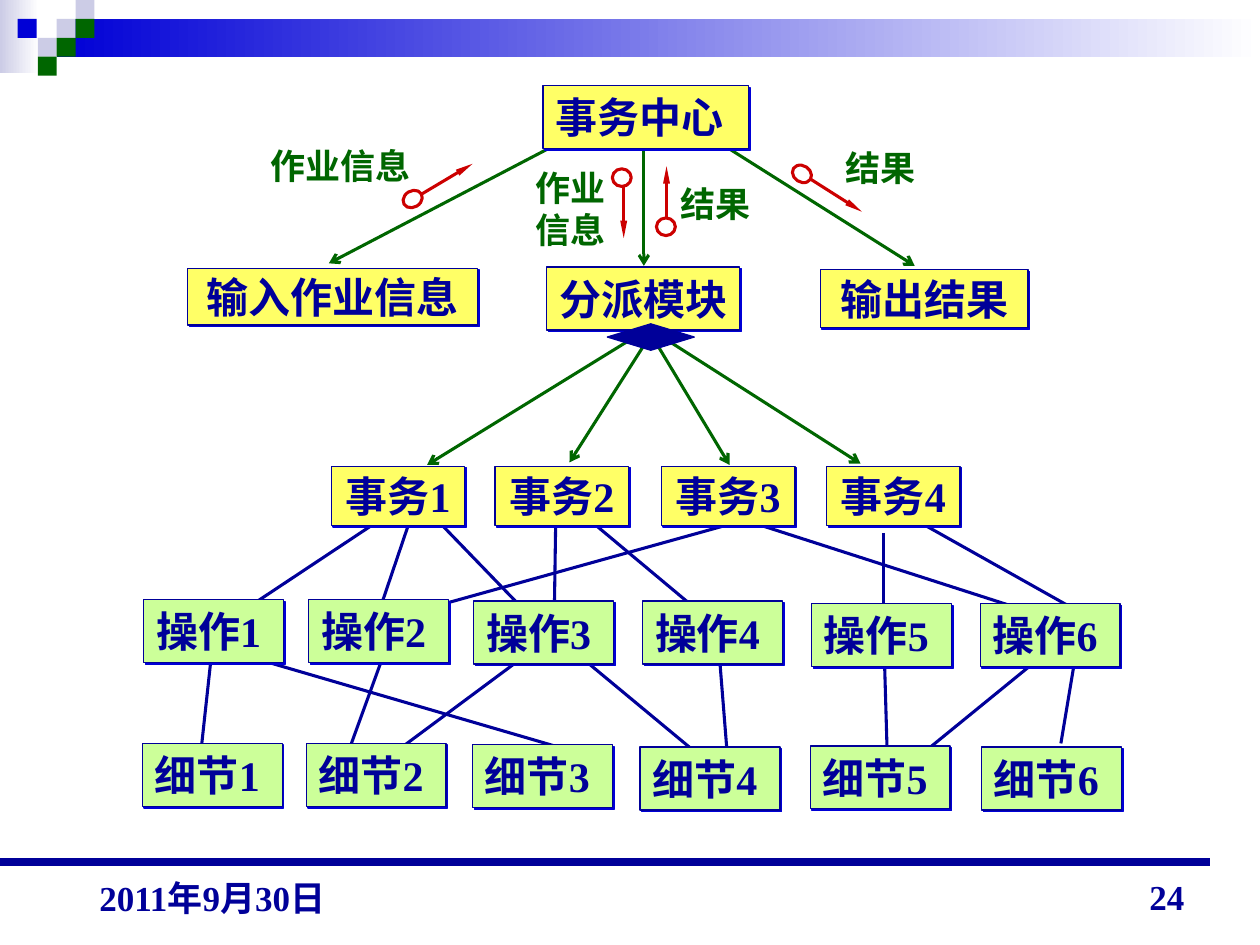
"""Build a transaction-centre structure chart slide."""
from typing import NamedTuple, Optional

from lxml import etree
from pptx import Presentation
from pptx import util as u
from pptx.dml.color import RGBColor
from pptx.enum import shapes, text
from pptx.oxml.ns import qn

NAVY = RGBColor(0x00, 0x00, 0x99)
BLUE = RGBColor(0x00, 0x00, 0xD6)
LAVENDER = RGBColor(0xCC, 0xCC, 0xE6)
GREEN = RGBColor(0x00, 0x66, 0x00)
RED = RGBColor(0xCC, 0x00, 0x00)
YELLOW = RGBColor(0xFF, 0xFF, 0x66)
LIME = RGBColor(0xCC, 0xFF, 0x99)
WHITE = RGBColor(0xFF, 0xFF, 0xFF)

SHAPE = shapes.MSO_SHAPE
FIT = text.MSO_AUTO_SIZE.SHAPE_TO_FIT_TEXT
LEFT, CENTER, RIGHT = text.PP_ALIGN.LEFT, text.PP_ALIGN.CENTER, text.PP_ALIGN.RIGHT
TOP, MIDDLE, BOTTOM = text.MSO_ANCHOR.TOP, text.MSO_ANCHOR.MIDDLE, text.MSO_ANCHOR.BOTTOM


class Area(NamedTuple):
    left: float
    top: float
    width: float
    height: float


class Module(NamedTuple):
    label: str
    area: Area
    fill: RGBColor
    align: int = CENTER
    anchor: int = MIDDLE
    wrap: bool = False


class Link(NamedTuple):
    x1: float
    y1: float
    x2: float
    y2: float


class Couple(NamedTuple):
    arrow: Link
    ring: Area
    turn: float = 0


class Label(NamedTuple):
    words: str
    area: Area


TASKS = [Module(f"事务{i}", Area(left, 3.7, 1.06, 0.47), YELLOW)
         for i, left in enumerate((2.63, 3.93, 5.25, 6.56), 1)]


def lower_row(name: str, corners: list[tuple[float, float]]) -> list[Module]:
    return [Module(f"{name}{i}", Area(left, top, 1.11, 0.5), LIME, LEFT, TOP)
            for i, (left, top) in enumerate(corners, 1)]


OPERATIONS = lower_row("操作", [(1.14, 4.76), (2.45, 4.76), (3.76, 4.77),
                              (5.1, 4.77), (6.44, 4.79), (7.78, 4.79)])
DETAILS = lower_row("细节", [(1.13, 5.9), (2.43, 5.9), (3.75, 5.91),
                           (5.08, 5.93), (6.43, 5.92), (7.79, 5.93)])
UPPER = [
    Module("事务中心", Area(4.31, 0.68, 1.63, 0.5), YELLOW, LEFT, TOP, True),
    Module("分派模块", Area(4.34, 2.12, 1.53, 0.5), YELLOW, LEFT, TOP),
    Module("输出结果", Area(6.51, 2.14, 1.65, 0.46), YELLOW),
    Module("输入作业信息", Area(1.49, 2.13, 2.3, 0.45), YELLOW),
]
CALLS = [
    Link(1.68, 5.18, 1.59, 6.01), Link(1.9, 5.19, 4.4, 5.92), Link(3.04, 5.21, 2.76, 5.98),
    Link(4.2, 5.18, 3.19, 5.93), Link(4.58, 5.19, 5.52, 5.97), Link(5.71, 5.21, 5.77, 5.96),
    Link(7.02, 5.24, 7.04, 5.93), Link(8.23, 5.24, 7.31, 5.99), Link(8.53, 5.24, 8.42, 5.9),
    Link(2.95, 4.17, 2, 4.8), Link(4.73, 4.17, 5.52, 4.83), Link(3.51, 4.17, 4.1, 4.78),
    Link(4.41, 4.17, 4.4, 4.82), Link(3.24, 4.17, 3.02, 4.82), Link(5.76, 4.17, 3.28, 4.86),
    Link(7.01, 4.23, 7.01, 4.82), Link(7.29, 4.14, 8.5, 4.82), Link(6.04, 4.17, 8.03, 4.81),
]
DISPATCHES = [
    Link(5.14, 2.6, 6.83, 3.68), Link(5.2, 2.6, 4.52, 3.67), Link(5.11, 2.63, 3.39, 3.69),
    Link(5.08, 2.51, 5.79, 3.69), Link(5.11, 1.01, 5.11, 2.11), Link(4.62, 1.04, 2.61, 2.09),
    Link(5.58, 1.05, 7.26, 2.11),
]
COUPLES = [
    Couple(Link(4.95, 1.47, 4.95, 1.89), Area(4.86, 1.34, 0.15, 0.14)),
    Couple(Link(5.29, 1.74, 5.29, 1.32), Area(5.21, 1.73, 0.15, 0.14)),
    Couple(Link(3.33, 1.55, 3.75, 1.3), Area(3.21, 1.5, 0.13, 0.16), 59.2),
    Couple(Link(6.43, 1.42, 6.84, 1.68), Area(6.3, 1.3, 0.13, 0.16), 303.1),
]
LABELS = [
    Label("作业信息", Area(2.05, 1.1, 1.33, 0.44)),
    Label("作业\n信息", Area(4.15, 1.27, 0.78, 0.77)),
    Label("结果", Area(6.61, 1.11, 0.78, 0.44)),
    Label("结果", Area(5.3, 1.4, 0.78, 0.44)),
]
TILE = 0.15
TILES = [(0.45, 0.15, LAVENDER), (0.6, 0, LAVENDER), (0.6, 0.15, GREEN), (0.3, 0.3, LAVENDER),
         (0.14, 0.15, BLUE), (0.45, 0.3, GREEN), (0.3, 0.45, GREEN)]


def inches(area: Area) -> list[int]:
    return [u.Inches(value) for value in area]


def write(box, words: str, *, size: float, color: RGBColor, align: int = LEFT,
          anchor: int = TOP, wrap: bool = False, fit: Optional[int] = None) -> None:
    frame = box.text_frame
    frame.text = words
    frame.word_wrap = wrap
    frame.auto_size = fit
    frame.vertical_anchor = anchor
    for para in frame.paragraphs:
        para.alignment = align
        para.font.name = "Times New Roman"
        para.font.size = u.Pt(size)
        para.font.bold = True
        para.font.color.rgb = color


def draw_shape(page, kind: int, area: Area, *, fill: Optional[RGBColor] = None,
               line: Optional[RGBColor] = None, weight: float = 0.75):
    shape = page.shapes.add_shape(kind, *inches(area))
    shape.shadow.inherit = False
    if fill is not None:
        shape.fill.solid()
        shape.fill.fore_color.rgb = fill
    if line is None:
        shape.line.fill.background()
    else:
        shape.line.color.rgb = line
        shape.line.width = u.Pt(weight)
    return shape


def draw_fade(page, area: Area, color: RGBColor) -> None:
    fill = draw_shape(page, SHAPE.RECTANGLE, area).fill
    fill.gradient()
    fill.gradient_angle = 0
    for stop, shade in zip(fill.gradient_stops, (color, WHITE)):
        stop.color.rgb = shade


def draw_link(page, link: Link, color: RGBColor, *, weight: float = 1.75,
              **head: str) -> None:
    connector = page.shapes.add_connector(shapes.MSO_CONNECTOR.STRAIGHT, *inches(link))
    connector.line.color.rgb = color
    connector.line.width = u.Pt(weight)
    properties = connector.element.spPr
    if head:
        etree.SubElement(properties.find(qn("a:ln")), qn("a:tailEnd"), **head)
    etree.SubElement(properties, qn("a:effectLst"))


def draw_module(page, module: Module) -> None:
    box = draw_shape(page, SHAPE.RECTANGLE, module.area, fill=module.fill, line=NAVY)
    effects = box.element.spPr.find(qn("a:effectLst"))
    shadow = etree.SubElement(effects, qn("a:outerShdw"), dist=str(u.Pt(1.4)),
                              dir="2700000", algn="ctr", rotWithShape="0")
    etree.SubElement(shadow, qn("a:srgbClr"), val=str(BLUE))
    write(box, module.label, size=24, color=NAVY, align=module.align,
          anchor=module.anchor, wrap=module.wrap)


def draw_couple(page, couple: Couple) -> None:
    draw_link(page, couple.arrow, RED, type="triangle", w="sm", len="lg")
    ring = draw_shape(page, SHAPE.OVAL, couple.ring, fill=WHITE, line=RED, weight=1.75)
    ring.rotation = couple.turn


def draw_text(page, label: Label, **style) -> None:
    write(page.shapes.add_textbox(*inches(label.area)), label.words, size=20, **style)


def main() -> None:
    deck = Presentation()
    deck.slide_width, deck.slide_height = u.Inches(10), u.Inches(7.5)
    page = deck.slides.add_slide(deck.slide_layouts[6])
    draw_fade(page, Area(0, 0, 0.31, 0.58), LAVENDER)
    draw_fade(page, Area(0.45, 0.15, 9.55, 0.3), BLUE)
    for left, top, color in TILES:
        draw_shape(page, SHAPE.RECTANGLE, Area(left, top, TILE, TILE), fill=color)
    draw_link(page, Link(0, 6.84, 9.6, 6.84), NAVY, weight=4.5)
    for link in CALLS:
        draw_link(page, link, NAVY)
    for link in DISPATCHES:
        draw_link(page, link, GREEN, type="arrow")
    for module in UPPER + TASKS + OPERATIONS + DETAILS:
        draw_module(page, module)
    for couple in COUPLES:
        draw_couple(page, couple)
    draw_shape(page, SHAPE.DIAMOND, Area(4.82, 2.57, 0.69, 0.21), fill=NAVY, line=NAVY)
    for label in LABELS:
        draw_text(page, label, color=GREEN, fit=FIT)
    footer = {"color": NAVY, "anchor": BOTTOM, "wrap": True}
    draw_text(page, Label("24", Area(7.17, 6.83, 2.33, 0.5)), align=RIGHT, **footer)
    draw_text(page, Label("2011年9月30日", Area(0.69, 6.82, 2.33, 0.52)), **footer)
    deck.save("out.pptx")


if __name__ == "__main__":
    main()
